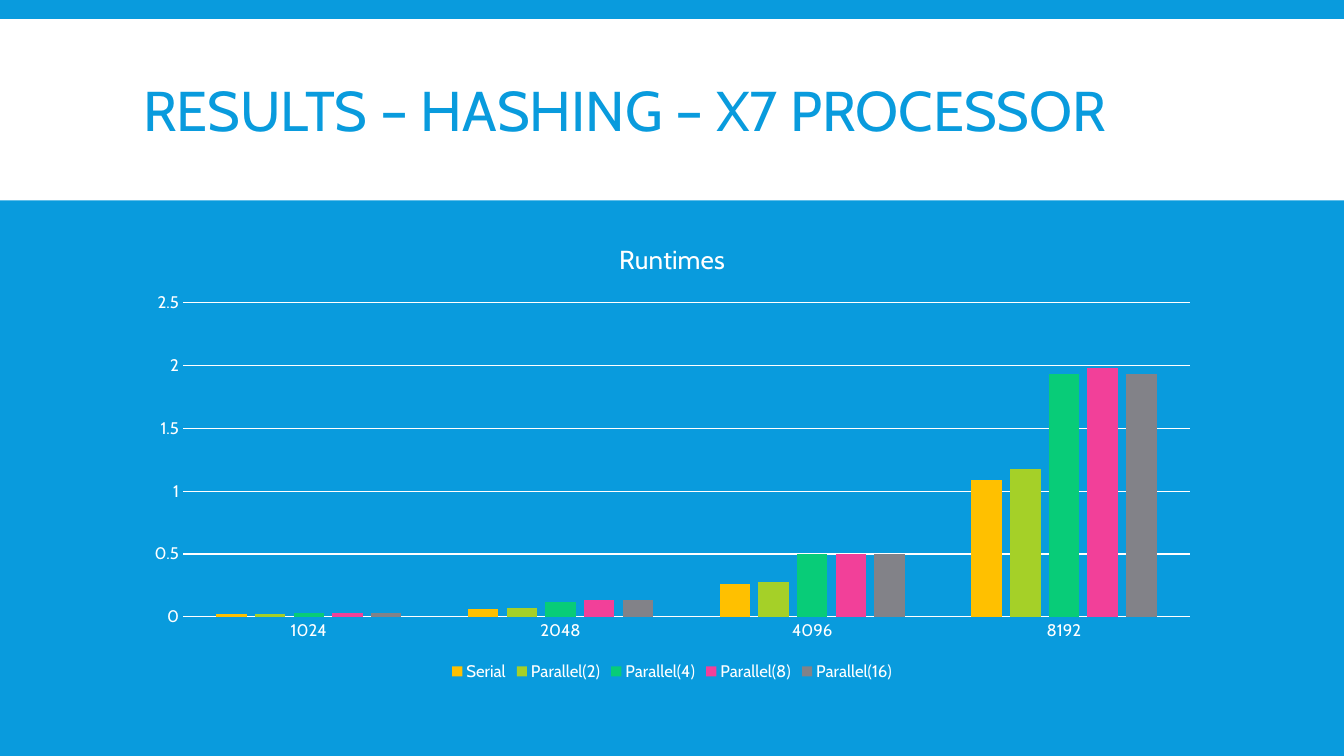
import pptx
import pptx.chart.data
import pptx.dml.color
import pptx.enum.chart
import pptx.enum.shapes
import pptx.enum.text
import pptx.util
from pptx.util import Cm

RGBColor = pptx.dml.color.RGBColor
BLUE = RGBColor(0x09, 0x9B, 0xDD)
WHITE = RGBColor(0xFF, 0xFF, 0xFF)
AMBER = RGBColor(0xFF, 0xC0, 0x00)
LIME = RGBColor(0xA5, 0xD0, 0x28)
GREEN = RGBColor(0x08, 0xCC, 0x78)
PINK = RGBColor(0xF2, 0x40, 0x99)
GREY = RGBColor(0x82, 0x82, 0x88)

SIZES = ["1024", "2048", "4096", "8192"]
RUNTIMES = [
    ("Serial", AMBER, [0.02, 0.06, 0.26, 1.09]),
    ("Parallel(2)", LIME, [0.02, 0.07, 0.28, 1.18]),
    ("Parallel(4)", GREEN, [0.03, 0.12, 0.5, 1.93]),
    ("Parallel(8)", PINK, [0.03, 0.13, 0.5, 1.98]),
    ("Parallel(16)", GREY, [0.03, 0.13, 0.5, 1.93]),
]

SLIDE_WIDTH, SLIDE_HEIGHT = Cm(33.87), Cm(19.05)
CONTENT_LEFT, CONTENT_WIDTH = Cm(3.35), Cm(27.18)


class SlideBuilder:
    """Holds the font and the current slide."""

    font_name = "Cabin"

    def __init__(self, slide):
        self.slide = slide
        slide.background.fill.solid()
        slide.background.fill.fore_color.rgb = BLUE

    def style_font(self, font, size, color=WHITE):
        font.name = self.font_name
        font.size = pptx.util.Pt(size)
        font.bold = False
        font.color.rgb = color

    def style_line(self, line):
        line.color.rgb = WHITE
        line.width = pptx.util.Pt(0.75)

    def add_run(self, paragraph, text, size, color=WHITE):
        run = paragraph.add_run()
        run.text = text
        self.style_font(run.font, size, color)

    def add_title(self, text, top, height):
        title = self.slide.shapes.title
        title.left, title.top = CONTENT_LEFT, top
        title.width, title.height = CONTENT_WIDTH, height
        frame = title.text_frame
        frame.word_wrap = True
        frame.auto_size = pptx.enum.text.MSO_AUTO_SIZE.NONE
        frame.vertical_anchor = pptx.enum.text.MSO_ANCHOR.MIDDLE
        paragraph = frame.paragraphs[0]
        paragraph.alignment = pptx.enum.text.PP_ALIGN.LEFT
        paragraph.line_spacing = 0.85
        self.add_run(paragraph, text, 40, BLUE)

    def add_band(self, top, height):
        band = self.slide.shapes.add_shape(
            pptx.enum.shapes.MSO_SHAPE.RECTANGLE, 0, top, SLIDE_WIDTH, height)
        band.shadow.inherit = False
        band.fill.solid()
        band.fill.fore_color.rgb = WHITE
        band.line.fill.background()
        # Keep the band behind the title
        self.slide.shapes.title.element.addprevious(band.element)

    def add_column_chart(self, heading, categories, rows, top, height):
        data = pptx.chart.data.CategoryChartData()
        data.categories = categories
        for name, _, values in rows:
            data.add_series(name, values)
        chart = self.slide.shapes.add_chart(
            pptx.enum.chart.XL_CHART_TYPE.COLUMN_CLUSTERED,
            CONTENT_LEFT, top, CONTENT_WIDTH, height, data).chart
        self.style_font(chart.font, 10)

        # Heading and legend
        chart.has_title = True
        self.add_run(chart.chart_title.text_frame.paragraphs[0], heading, 18.6)
        chart.chart_title.include_in_layout = False
        chart.has_legend = True
        chart.legend.position = pptx.enum.chart.XL_LEGEND_POSITION.BOTTOM
        chart.legend.include_in_layout = False
        self.style_font(chart.legend.font, 12)

        # Axes
        for axis in (chart.category_axis, chart.value_axis):
            axis.major_tick_mark = pptx.enum.chart.XL_TICK_MARK.NONE
            axis.minor_tick_mark = pptx.enum.chart.XL_TICK_MARK.NONE
            self.style_font(axis.tick_labels.font, 12)
        self.style_line(chart.category_axis.format.line)
        value_axis = chart.value_axis
        value_axis.minimum_scale, value_axis.maximum_scale = 0, 2.5
        value_axis.major_unit = 0.5
        value_axis.format.line.fill.background()
        self.style_line(value_axis.major_gridlines.format.line)

        # Columns
        plot = chart.plots[0]
        plot.gap_width, plot.overlap = 219, -27
        plot.vary_by_categories = False
        for series, (_, color, _) in zip(plot.series, rows):
            series.format.fill.solid()
            series.format.fill.fore_color.rgb = color


def main():
    presentation = pptx.Presentation()
    presentation.slide_width, presentation.slide_height = SLIDE_WIDTH, SLIDE_HEIGHT
    title_only = presentation.slide_layouts[5]
    builder = SlideBuilder(presentation.slides.add_slide(title_only))
    builder.add_band(Cm(0.48), Cm(4.57))
    builder.add_title("RESULTS – HASHING – X7 PROCESSOR", Cm(0.79), Cm(4.19))
    builder.add_column_chart("Runtimes", SIZES, RUNTIMES, Cm(5.59), Cm(11.68))
    presentation.save("out.pptx")


if __name__ == "__main__":
    main()
